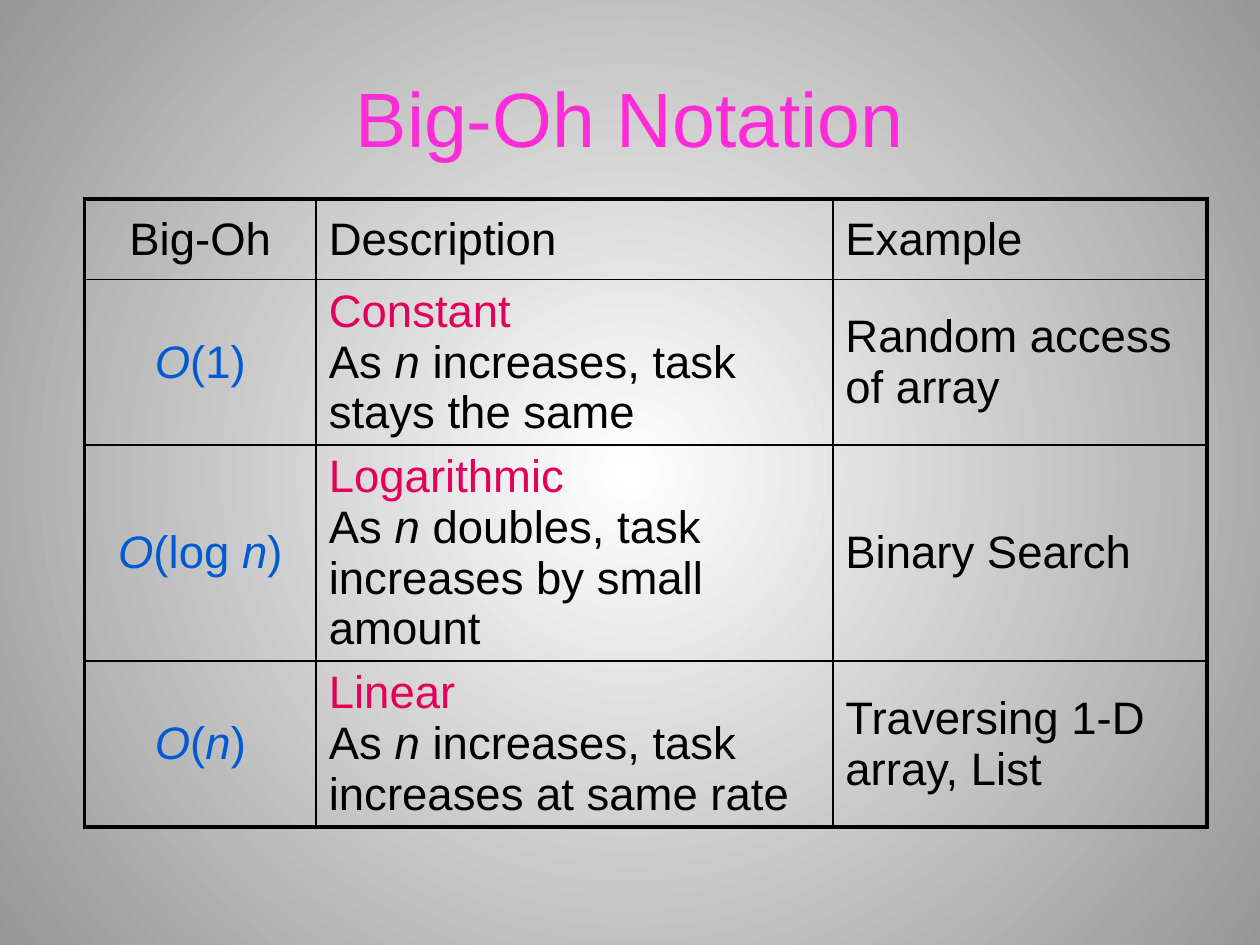
"""Build the Big-Oh notation slide: a title over a bordered table."""
from dataclasses import dataclass

import pptx
import pptx.dml.color
import pptx.enum.text
import pptx.oxml
import pptx.oxml.ns
import pptx.util

SLIDE_WIDTH = pptx.util.Inches(10)
SLIDE_HEIGHT = pptx.util.Inches(7.5)
BLACK, PINK, BLUE, RED = "000000", "FF2BD8", "005BD3", "E40059"
THICK, THIN = 2.25, 1
COLUMN_SHARES = [18.4, 41, 29.7]
ROW_SHARES = [8.53, 17.47, 22.86, 17.6]
CENTER = pptx.enum.text.PP_ALIGN.CENTER
LEFT = pptx.enum.text.PP_ALIGN.LEFT
MIDDLE = pptx.enum.text.MSO_ANCHOR.MIDDLE


@dataclass
class Piece:
    """A stretch of text in one format; a newline in it breaks the line."""
    text: str
    color: str = BLACK
    italic: bool = False


@dataclass
class Growth:
    """One order of growth, as a row of the table."""
    notation: list[Piece]
    name: str
    effect: str
    example: str

    def cells(self) -> list[list[Piece]]:
        """Return the pieces of the three cells."""
        description = [Piece(self.name + "\n", RED), Piece("As "),
                       Piece("n", italic=True), Piece(self.effect)]
        return [self.notation, description, [Piece(self.example)]]


BIG_O = Piece("O", BLUE, True)
BLUE_N = Piece("n", BLUE, True)
CLOSE = Piece(")", BLUE)
HEADINGS = [[Piece(text)] for text in ("Big-Oh", "Description", "Example")]
GROWTHS = [
    Growth([BIG_O, Piece("(1)", BLUE)], "Constant",
           " increases, task stays the same", "Random access of array"),
    Growth([BIG_O, Piece("(log ", BLUE), BLUE_N, CLOSE], "Logarithmic",
           " doubles, task increases by small amount", "Binary Search"),
    Growth([BIG_O, Piece("(", BLUE), BLUE_N, CLOSE], "Linear",
           " increases, task increases at same rate", "Traversing 1-D array, List"),
]


def across(percent: float) -> int:
    """Return a percentage of the slide's width."""
    return round(SLIDE_WIDTH * percent / 100)


def down(percent: float) -> int:
    """Return a percentage of the slide's height."""
    return round(SLIDE_HEIGHT * percent / 100)


def rgb(color: str) -> pptx.dml.color.RGBColor:
    """Turn a hex string into a colour."""
    return pptx.dml.color.RGBColor.from_string(color)


def apply(target, values: dict) -> None:
    """Set attributes from a dict of format values."""
    for name, value in values.items():
        setattr(target, name, value)


def write(para, pieces: list[Piece], size: float, align) -> None:
    """Fill a paragraph with formatted pieces."""
    para.alignment = align
    for piece in pieces:
        span = para.add_run()
        span.text = piece.text.rstrip("\n")
        apply(span.font, {"name": "Arial", "size": pptx.util.Pt(size),
                          "bold": False, "italic": piece.italic})
        span.font.color.rgb = rgb(piece.color)
        if piece.text.endswith("\n"):
            para.add_line_break()


def draw_border(cell, side: str, width: float) -> None:
    """Add a solid black line to one side of a cell."""
    cell._tc.get_or_add_tcPr().append(pptx.oxml.parse_xml(
        f'<a:ln{side} {pptx.oxml.ns.nsdecls("a")} w="{pptx.util.Pt(width)}">'
        f'<a:solidFill><a:srgbClr val="{BLACK}"/></a:solidFill></a:ln{side}>'))


def paint_background(page) -> None:
    """Fill the page with a gradient that darkens from its centre."""
    fill = page.background.fill
    fill.gradient()
    for stop, color in zip(fill.gradient_stops, ("FFFFFF", "979797")):
        stop.color.rgb = rgb(color)
    gradient = page.element.find(".//" + pptx.oxml.ns.qn("a:gradFill"))
    gradient.remove(gradient.find(pptx.oxml.ns.qn("a:lin")))
    gradient.append(pptx.oxml.parse_xml(
        f'<a:path {pptx.oxml.ns.nsdecls("a")} path="circle">'
        '<a:fillToRect l="50000" t="50000" r="50000" b="50000"/></a:path>'))


def add_title(page) -> None:
    """Place and write the title."""
    title = page.shapes.title
    apply(title, {"left": across(5), "top": down(4),
                  "width": across(90), "height": down(16.67)})
    title.text_frame.vertical_anchor = MIDDLE
    write(title.text_frame.paragraphs[0], [Piece("Big-Oh Notation", PINK)], 44, CENTER)


def add_growth_table(page) -> None:
    """Draw the table with a thick frame and thin inner lines."""
    rows = [HEADINGS] + [growth.cells() for growth in GROWTHS]
    table = page.shapes.add_table(
        len(rows), len(COLUMN_SHARES), across(6.7), down(21.07),
        across(sum(COLUMN_SHARES)), down(sum(ROW_SHARES))).table
    apply(table, {"first_row": False, "horz_banding": False})
    for column, share in zip(table.columns, COLUMN_SHARES):
        column.width = across(share)
    for row, share in zip(table.rows, ROW_SHARES):
        row.height = down(share)
    for row_index, row in enumerate(rows):
        for column_index, pieces in enumerate(row):
            cell = table.cell(row_index, column_index)
            outer = {"L": column_index == 0, "R": column_index == len(row) - 1,
                     "T": row_index == 0, "B": row_index == len(rows) - 1}
            for side, is_outer in outer.items():
                draw_border(cell, side, THICK if is_outer else THIN)
            cell.fill.background()
            cell.vertical_anchor = MIDDLE
            write(cell.text_frame.paragraphs[0], pieces, 26,
                  CENTER if column_index == 0 else LEFT)


def main() -> None:
    """Build and save the deck."""
    deck = pptx.Presentation()
    apply(deck, {"slide_width": SLIDE_WIDTH, "slide_height": SLIDE_HEIGHT})
    page = deck.slides.add_slide(deck.slide_layouts.get_by_name("Title Only"))
    paint_background(page)
    add_title(page)
    add_growth_table(page)
    deck.save("out.pptx")


if __name__ == "__main__":
    main()
